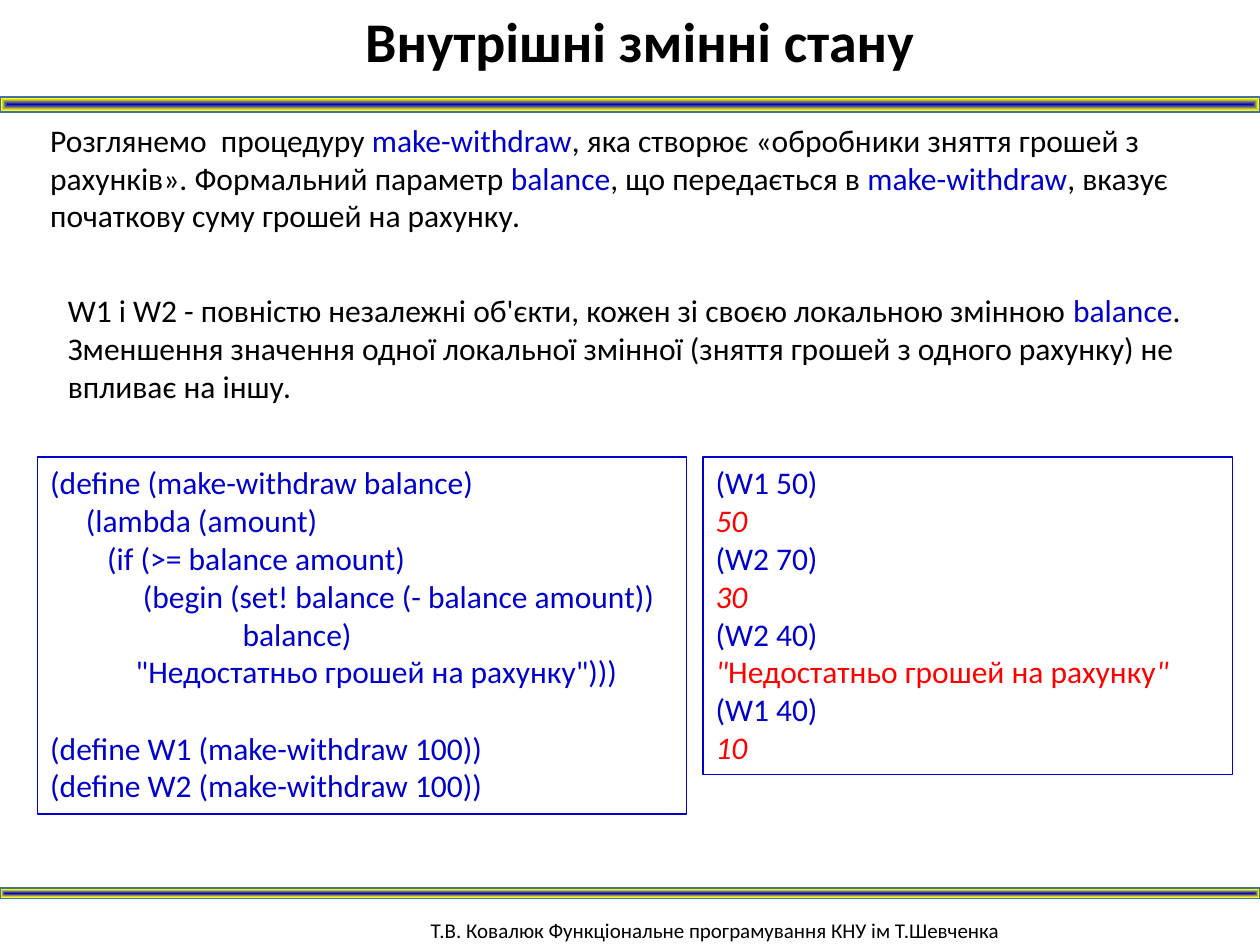
from pptx import Presentation
from pptx.util import Pt
from pptx.dml.color import RGBColor
from pptx.enum.shapes import MSO_SHAPE as Geo
from pptx.enum.text import MSO_ANCHOR as Anchor, MSO_AUTO_SIZE as Fit, PP_ALIGN as Align
from pptx.oxml import parse_xml

BLACK, BLUE, RED = "000000", "0000CC", "FF0000"
SPACE = 4.07
LINE = 22
NAME = ("make-withdraw", BLUE)
BAL = ("balance", BLUE)
POOR = "Недостатньо грошей на рахунку"

TITLE = [[("Внутрішні змінні стану", BLACK)]]
FOOT = [[("Т.В. Ковалюк Функціональне програмування КНУ ім Т.Шевченка", BLACK)]]
INTRO = [[
    ("Розглянемо  процедуру ", BLACK), NAME,
    (", яка створює «обробники зняття грошей з рахунків». Формальний параметр ", BLACK), BAL,
    (", що передається в ", BLACK), NAME,
    (", вказує початкову суму грошей на рахунку.", BLACK),
]]
NOTE = [[
    ("W1 і W2 - повністю незалежні об'єкти, кожен зі своєю локальною змінною ", BLACK), BAL,
    (". Зменшення значення одної локальної змінної (зняття грошей з одного рахунку) "
     "не впливає на іншу.", BLACK),
]]
CODE = [
    (0, 0, "(define (make-withdraw balance)"),
    (5, 0, "(lambda (amount)"),
    (8, 0, "(if (>= balance amount)"),
    (13, 0, "(begin (set! balance (- balance amount))"),
    (27, 0, "balance)"),
    (12, 0, f'"{POOR}")))'),
    (0, 1, "(define W1 (make-withdraw 100))"),
    (0, 0, "(define W2 (make-withdraw 100))"),
]
CALLS = [
    ("(W1 50)", [("50", RED, True)]),
    ("(W2 70)", [("30", RED, True)]),
    ("(W2 40)", [('"', RED, True), (POOR, RED), ('"', RED, True)]),
    ("(W1 40)", [("10", RED, True)]),
]
BANDS = [(55.4, 8.6), (507.6, 5.8)]
STOPS = [(0, BLUE), (77, "FFFF00"), (100, "CEE1F2")]

deck = Presentation()
deck.slide_width, deck.slide_height = Pt(720), Pt(540)
slide = deck.slides.add_slide(deck.slide_layouts[6])
shapes = slide.shapes


def color(code):
    return RGBColor.from_string(code)


def band(top, high):
    bar = shapes.add_shape(Geo.RECTANGLE, Pt(0), Pt(top), Pt(720), Pt(high))
    bar.shadow.inherit = False
    bar.line.color.rgb = color("43739E")
    bar.line.width = Pt(1)
    bar.fill.background()
    props = bar.fill._xPr
    stops = "".join(f'<a:gs pos="{pos * 1000}"><a:srgbClr val="{code}"/></a:gs>'
                    for pos, code in STOPS)
    grad = parse_xml(
        '<a:gradFill xmlns:a="http://schemas.openxmlformats.org/drawingml/2006/main" '
        f'rotWithShape="1"><a:gsLst>{stops}</a:gsLst><a:path path="shape">'
        '<a:fillToRect l="50000" t="50000" r="50000" b="50000"/></a:path></a:gradFill>')
    props.replace(props.eg_fillProperties, grad)


def text(box, paras, size=18, wrap=True, fit=Fit.SHAPE_TO_FIT_TEXT, frame=False):
    place = [Pt(n) for n in box]
    if frame:
        shape = shapes.add_shape(Geo.RECTANGLE, *place)
        shape.shadow.inherit = False
        shape.fill.background()
        shape.line.color.rgb = color(BLUE)
        shape.line.width = Pt(0.75)
    else:
        shape = shapes.add_textbox(*place)
    body = shape.text_frame
    body.word_wrap = wrap
    body.auto_size = fit
    body.vertical_anchor = Anchor.TOP
    for i, runs in enumerate(paras):
        para = body.add_paragraph() if i else body.paragraphs[0]
        para.alignment = Align.LEFT
        for word, tint, *slant in runs:
            run = para.add_run()
            run.text = word
            font = run.font
            font.name, font.size = "Calibri", Pt(size)
            font.color.rgb = color(tint)
            font.italic = bool(slant)
    return body


text((239, 520.6, 432, 23), FOOT, 12, fit=Fit.NONE)
for top, high in BANDS:
    band(top, high)
head = text((201.6, 0, 331.2, 46), TITLE, 32, wrap=False)
head.paragraphs[0].runs[0].font.bold = True

code = text((21.6, 261.2, 370.8, 204), [[(line, BLUE)] for _, _, line in CODE], frame=True)
for para, (cols, gap, _) in zip(code.paragraphs, CODE):
    para.space_before = Pt(gap * LINE)
    para._p.get_or_add_pPr().set("marL", str(Pt(cols * SPACE)))

text((21.6, 65.5, 684.7, 72.7), INTRO)
text((401.8, 261.2, 302.4, 181.4),
     [para for call, reply in CALLS for para in ([(call, BLUE)], reply)], frame=True)
text((31.7, 162.7, 661.7, 72.7), NOTE)

deck.save("out.pptx")
